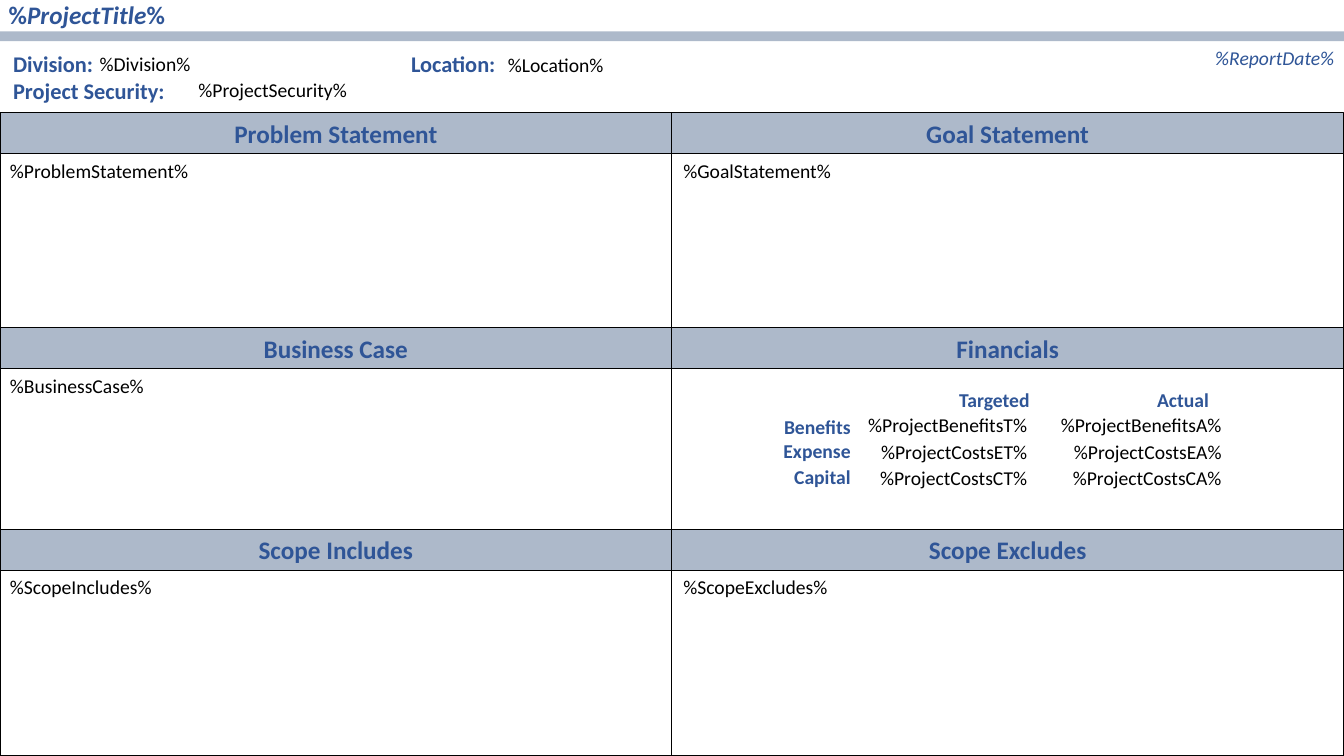
from pptx import Presentation
from pptx.dml.color import RGBColor as RGB
from pptx.enum.shapes import MSO_SHAPE as SHAPE
from pptx.enum.text import MSO_ANCHOR as ANCHOR, PP_ALIGN as ALIGN
from pptx.util import Cm, Pt

BLUE, BLACK = RGB(0x2F, 0x55, 0x97), RGB(0, 0, 0)
THEME = {
    "band": RGB(0xAD, 0xB9, 0xCA),
    "outline": BLACK,
    "title": (BLUE, {"size": Pt(18), "bold": True}),
    "date": (BLUE, {"size": Pt(14), "italic": True}),
    "label": (BLUE, {"size": Pt(16), "bold": True}),
    "caption": (BLUE, {"size": Pt(14), "bold": True}),
    "value": (BLACK, {"size": Pt(14)}),
}

deck = Presentation()
deck.slide_width, deck.slide_height = Cm(33.87), Cm(19.05)
slide = deck.slides.add_slide(deck.slide_layouts[6])


def write(lines, left, top, width, style, align=ALIGN.LEFT, host=None):
    host = host or slide.shapes.add_textbox(Cm(left), Cm(top), Cm(width), Cm(0.86))
    frame = host.text_frame
    frame.word_wrap = True
    color, formats = THEME[style]
    for index, runs in enumerate(lines):
        paragraph = frame.add_paragraph() if index else frame.paragraphs[0]
        paragraph.alignment = align
        for text in runs:
            run = paragraph.add_run()
            run.text = text
            run.font.color.rgb = color
            for key, setting in {"name": "Calibri", **formats}.items():
                setattr(run.font, key, setting)
    return frame


def block(left, top, width, height, filled, outlined=True):
    panel = slide.shapes.add_shape(SHAPE.RECTANGLE, Cm(left), Cm(top), Cm(width), Cm(height))
    panel.shadow.inherit = False
    if filled:
        panel.fill.solid()
        panel.fill.fore_color.rgb = THEME["band"]
    else:
        panel.fill.background()
    if outlined:
        panel.line.color.rgb = THEME["outline"]
        panel.line.width = Pt(1)
    else:
        panel.line.fill.background()
    return panel


block(0, 0.79, 33.87, 0.25, True, outlined=False)
title = write([["%", "ProjectTitle", "%"]], -0.03, -0.13, 23.72, "title")
title.paragraphs[0].runs[1].font.italic = True
write([["%ReportDate%"]], 24.38, 1.02, 9.5, "date", ALIGN.RIGHT)

for text, left, top, width, style in [
    ("Division:", 0.08, 1.14, 3, "label"),
    ("%Division%", 2.26, 1.19, 7.98, "value"),
    ("Location:", 10.11, 1.14, 3, "label"),
    ("%Location%", 12.55, 1.22, 8, "value"),
    ("Project Security:", 0.08, 1.83, 5, "label"),
    ("%ProjectSecurity%", 4.75, 1.85, 5.74, "value"),
]:
    write([[text]], left, top, width, style)

half, heading_height = 16.93, 1.03
section_tops = [2.84, 8.26, 13.34, 19.05]
section_rows = [
    [("Problem Statement", "%ProblemStatement%"), ("Goal Statement", "%GoalStatement%")],
    [("Business Case", "%BusinessCase%"), ("Financials", None)],
    [("Scope Includes", "%ScopeIncludes%"), ("Scope Excludes", "%ScopeExcludes%")],
]
for top, bottom, sections in zip(section_tops, section_tops[1:], section_rows):
    body_top = top + heading_height
    for column, (heading, content) in enumerate(sections):
        left = column * half
        band = block(left, top, half, heading_height, True)
        band.text_frame.vertical_anchor = ANCHOR.MIDDLE
        write([[heading]], 0, 0, 0, "title", ALIGN.CENTER, band)
        block(left, body_top, half, bottom - body_top, False)
        if content:
            write([[content]], left + 0.04 * column, body_top, half, "value")

amount_labels = write([["Benefits"], ["Expense"], ["Capital"]], 19.15, 10.34, 2.54, "caption", ALIGN.RIGHT)
amount_labels.paragraphs[2].space_before = Pt(2)

amount_width, amount_pitch = 4.8, 0.67
for heading, heading_right, right, suffix in [
    ("Targeted", 26.2, 26.14, "T"),
    ("Actual", 30.72, 31.04, "A"),
]:
    write([[heading]], heading_right - amount_width, 9.65, amount_width, "caption", ALIGN.RIGHT)
    for row, amount in enumerate(["Benefits", "CostsE", "CostsC"]):
        write([[f"%Project{amount}{suffix}%"]], right - amount_width, 10.28 + row * amount_pitch,
              amount_width, "value", ALIGN.RIGHT)

deck.save("out.pptx")
